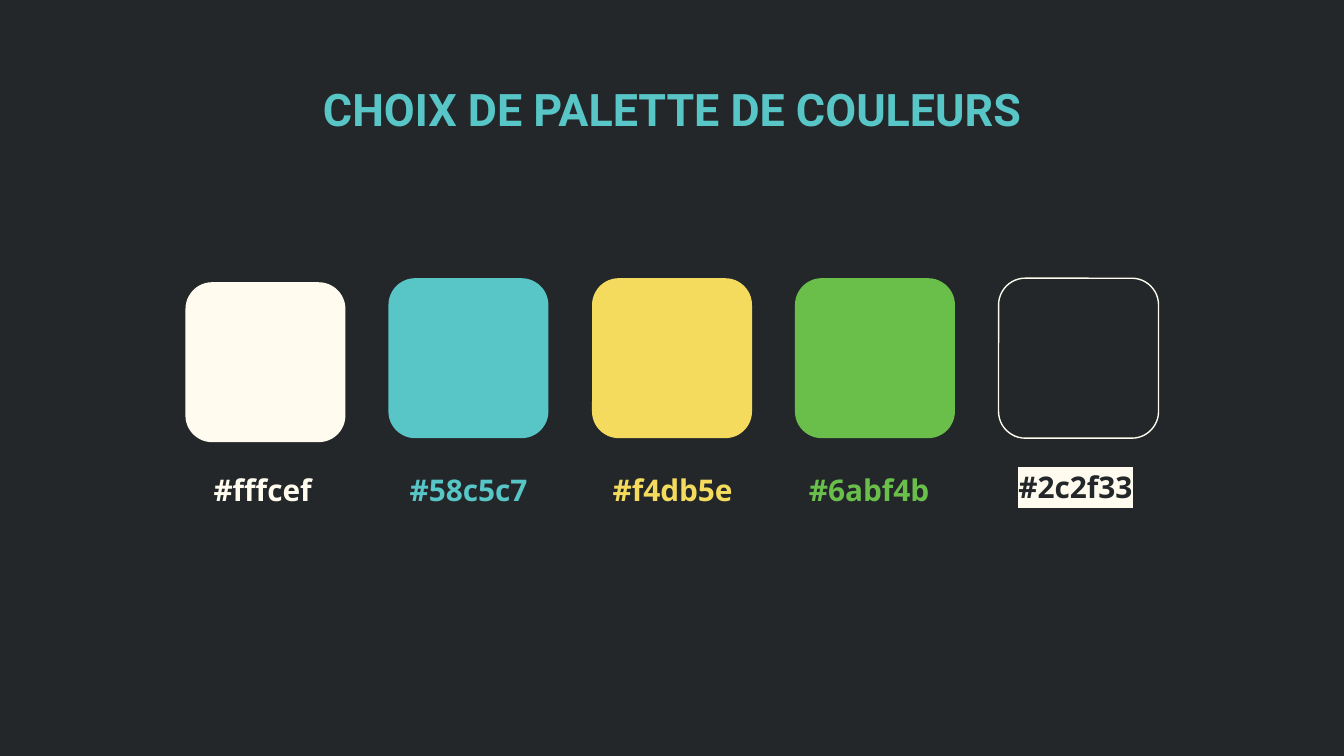
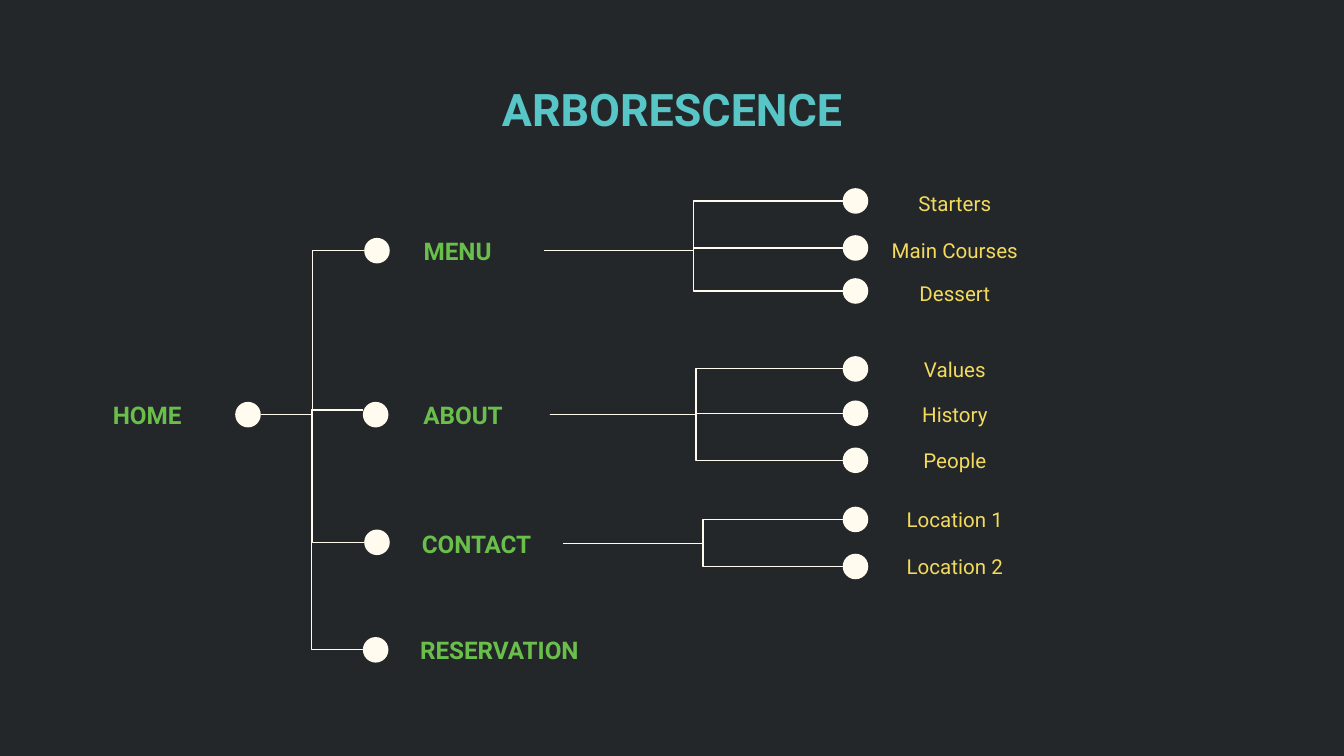
from dataclasses import dataclass

from lxml.etree import SubElement
from pptx import Presentation
from pptx.dml.color import RGBColor
from pptx.enum.shapes import MSO_CONNECTOR as LINK, MSO_SHAPE as SHAPE
from pptx.enum.text import MSO_ANCHOR as ANCHOR, MSO_AUTO_SIZE as FIT, PP_ALIGN as ALIGN
from pptx.oxml.ns import qn
from pptx.util import Emu, Pt

PX = 4572  # 200 px to the inch
DARK, CREAM, TEAL, YELLOW, GREEN = "23272A", "FFFCEF", "58C5C7", "F4DB5E", "6ABF4B"
INSET = 20
CORNER = 0.167

SWATCH_SIDE = 238
LABEL_HEIGHT, LABEL_WIDTH = 70, 258
DOT = 38
LEAF_DOT_LEFT, LEAF_LABEL_LEFT = 1254, 1292


@dataclass
class Node:
    """A tree entry: a label with its dot, and the height where its line arrives."""
    text: str
    label_left: int
    label_top: int
    dot_left: int
    dot_top: int
    label_width: int = LABEL_WIDTH
    entry: int = 0

    @property
    def line_end(self):
        return self.dot_left, self.entry or self.dot_top + DOT // 2

    @property
    def line_start(self):
        return self.label_left + self.label_width, self.label_top + LABEL_HEIGHT // 2


def leaf(text, label_top, dot_top):
    return Node(text, LEAF_LABEL_LEFT, label_top, LEAF_DOT_LEFT, dot_top)


HOME = Node("HOME", 90, 582, 350, 598)
SECTIONS = [
    (Node("MENU", 552, 338, 542, 354),
     [leaf("Starters", 268, 280), leaf("Main Courses", 338, 350), leaf("Dessert", 402, 414)]),
    (Node("ABOUT", 560, 582, 540, 598, entry=610),
     [leaf("Values", 514, 530), leaf("History", 582, 596), leaf("People", 650, 666)]),
    (Node("CONTACT", 580, 774, 542, 788),
     [leaf("Location 1", 738, 754), leaf("Location 2", 808, 824)]),
    (Node("RESERVATION", 584, 932, 540, 948, label_width=318), []),
]

# fill, caption, swatch top, caption left, top and width
SWATCHES = [
    (CREAM, "#fffcef", 420, 298, 682, 196),
    (TEAL, "#58c5c7", 414, 590, 682, 218),
    (YELLOW, "#f4db5e", 414, 892, 682, 228),
    (GREEN, "#6abf4b", 414, 1184, 682, 238),
    (DARK, "#2c2f33", 414, 1496, 678, 228),
]


def px(*lengths):
    return [Emu(length * PX) for length in lengths]


def rgb(color):
    return RGBColor.from_string(color)


def write(shape, text, font, size, color, bold=False, align=ALIGN.CENTER, anchor=ANCHOR.MIDDLE):
    frame = shape.text_frame
    frame.text = text
    frame.word_wrap = True
    frame.vertical_anchor = anchor
    (frame.margin_left, frame.margin_top,
     frame.margin_right, frame.margin_bottom) = px(*[INSET] * 4)
    para = frame.paragraphs[0]
    para.alignment = align
    span = para.runs[0]
    span.font.name, span.font.size, span.font.bold = font, Pt(size), bold
    span.font.color.rgb = rgb(color)
    return span


def highlight(span, color):
    mark = SubElement(span.font._element, qn("a:highlight"))
    SubElement(mark, qn("a:srgbClr")).set("val", color)
    span.font._element.find(qn("a:solidFill")).addnext(mark)


def add_box(shapes, kind, left, top, width, height, fill=None, line=None):
    box = shapes.add_shape(kind, *px(left, top, width, height))
    box.shadow.inherit = False
    if kind == SHAPE.ROUNDED_RECTANGLE:
        box.adjustments[0] = CORNER
    if fill:
        box.fill.solid()
        box.fill.fore_color.rgb = rgb(fill)
    else:
        box.fill.background()
    if line:
        box.line.color.rgb = rgb(line)
        box.line.width = Pt(0.75)
    else:
        box.line.fill.background()
    return box


def add_page(deck, title):
    page = deck.slides.add_slide(deck.slide_layouts[6])
    page.background.fill.solid()
    page.background.fill.fore_color.rgb = rgb(DARK)
    box = page.shapes.add_textbox(*px(68, 98, 1864, 126))
    write(box, title, "Roboto", 24, TEAL, bold=True)
    return page


def add_swatch(page, index, fill, caption, top, caption_left, caption_top, caption_width):
    left = 276 + index * 605 // 2
    on_dark = fill == DARK
    add_box(page.shapes, SHAPE.ROUNDED_RECTANGLE, left, top, SWATCH_SIDE, SWATCH_SIDE,
            fill, CREAM if on_dark else None)
    box = page.shapes.add_textbox(*px(caption_left, caption_top, caption_width, 94))
    span = write(box, caption, "Open Sans", 16, fill, True, ALIGN.LEFT, ANCHOR.TOP)
    box.text_frame.auto_size = FIT.SHAPE_TO_FIT_TEXT
    if on_dark:
        highlight(span, CREAM)


def add_link(page, start, end):
    link = page.shapes.add_connector(LINK.ELBOW, *px(*start, *end))
    link.line.color.rgb = rgb(CREAM)
    link.line.width = Pt(0.75)
    SubElement(link._element.spPr, qn("a:effectLst"))


def add_node(page, node, size, color, bold):
    shapes = page.shapes.add_group_shape().shapes
    label = add_box(shapes, SHAPE.ROUNDED_RECTANGLE, node.label_left, node.label_top,
                    node.label_width, LABEL_HEIGHT)
    write(label, node.text, "Roboto", size, color, bold)
    add_box(shapes, SHAPE.OVAL, node.dot_left, node.dot_top, DOT, DOT, CREAM)


def add_tree(page):
    trunk = HOME.dot_left + DOT, HOME.dot_top + DOT // 2
    for section, leaves in SECTIONS:
        add_link(page, trunk, section.line_end)
        for item in leaves:
            add_link(page, section.line_start, item.line_end)
    add_node(page, HOME, 13, GREEN, True)
    for section, leaves in SECTIONS:
        add_node(page, section, 13, GREEN, True)
        for item in leaves:
            add_node(page, item, 11, YELLOW, False)


def main():
    deck = Presentation()
    deck.slide_width, deck.slide_height = px(2000, 1125)
    palette = add_page(deck, "CHOIX DE PALETTE DE COULEURS")
    for index, swatch in enumerate(SWATCHES):
        add_swatch(palette, index, *swatch)
    add_tree(add_page(deck, "ARBORESCENCE"))
    deck.save("out.pptx")


if __name__ == "__main__":
    main()
